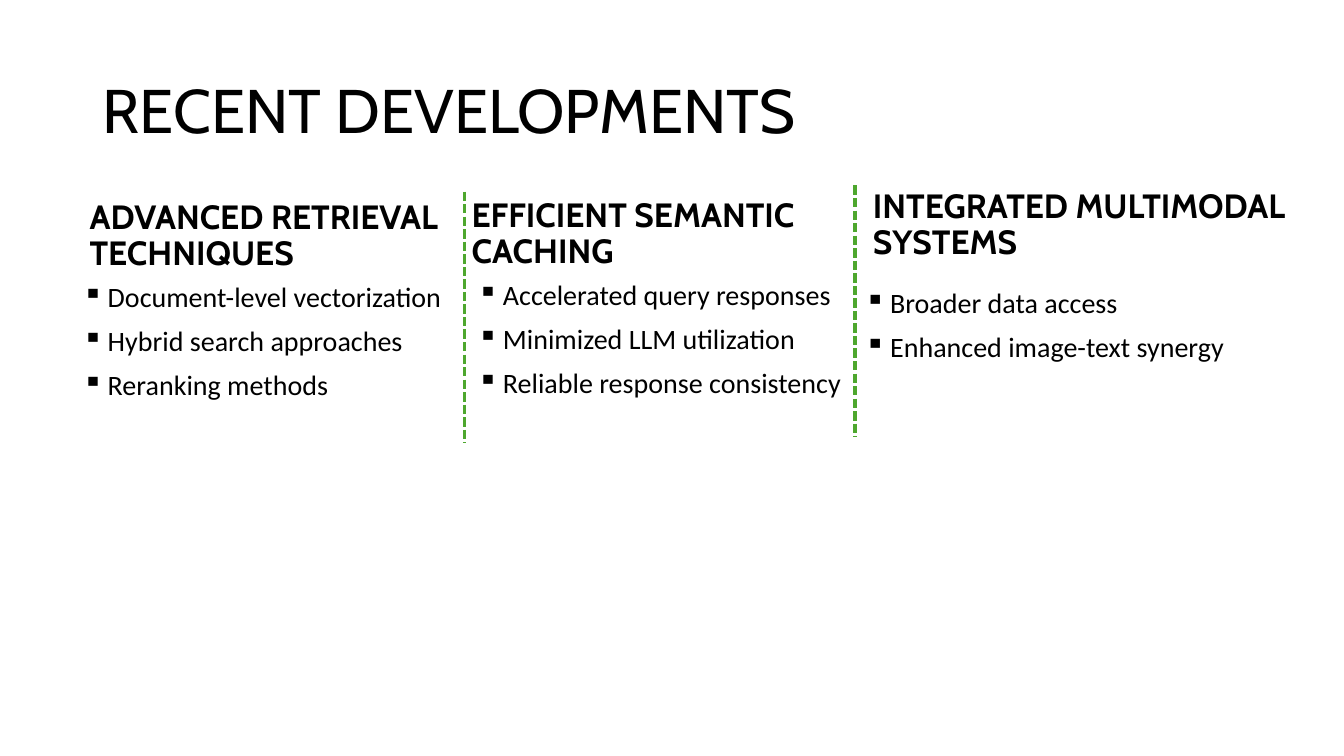
from lxml import etree
from pptx import Presentation
from pptx.dml.color import RGBColor
from pptx.enum.dml import MSO_LINE
from pptx.enum.shapes import MSO_CONNECTOR
from pptx.enum.text import MSO_ANCHOR
from pptx.oxml.ns import qn
from pptx.util import Inches, Pt

TOP, MIDDLE, BOTTOM = MSO_ANCHOR.TOP, MSO_ANCHOR.MIDDLE, MSO_ANCHOR.BOTTOM
STRAIGHT = MSO_CONNECTOR.STRAIGHT
SYSTEM_DASH = MSO_LINE.SQUARE_DOT

BLACK, GREEN = "000000", "4EA72E"
TITLE = {"name": "Cabin", "size": Pt(44)}
HEADING = {"name": "Cabin", "size": Pt(24), "bold": True}
BODY = {"name": "Calibri", "size": Pt(20)}
BULLET_INDENT = Inches(0.25)
DIVIDER_HEIGHT = 2.49

COLUMNS = [
    ("ADVANCED RETRIEVAL TECHNIQUES", (0.79, 1.86, 3.77, 0.9),
     ["Document-level vectorization", "Hybrid search approaches", "Reranking methods"],
     (0.72, 2.76, 3.88, 2.32)),
    ("EFFICIENT SEMANTIC CACHING", (4.58, 1.84, 4.24, 0.9),
     ["Accelerated query responses", "Minimized LLM utilization", "Reliable response consistency"],
     (4.64, 2.74, 3.97, 2.62)),
    ("INTEGRATED MULTIMODAL SYSTEMS", (8.56, 1.75, 5.19, 0.9),
     ["Broader data access", "Enhanced image-text synergy"],
     (8.48, 2.82, 3.82, 2.34)),
]
DIVIDERS = [(8.48, 1.84), (4.61, 1.9)]


def color(value):
    """Return the colour for a hex string."""
    return RGBColor.from_string(value)


def add_bullet(para):
    """Give a paragraph a square bullet with a hanging indent."""
    properties = para._p.get_or_add_pPr()
    properties.set("marL", str(BULLET_INDENT))
    properties.set("indent", str(-BULLET_INDENT))
    etree.SubElement(properties, qn("a:buChar")).set("char", "▪")


def add_text(page, lines, place, style, anchor, space_before=10, bulleted=False):
    """Add a wrapped text box with one paragraph per line."""
    box = page.shapes.add_textbox(*map(Inches, place))
    frame = box.text_frame
    frame.word_wrap = True
    frame.vertical_anchor = anchor
    for index, line in enumerate(lines):
        para = frame.add_paragraph() if index else frame.paragraphs[0]
        para.line_spacing = 0.9
        para.space_before = Pt(space_before)
        if bulleted:
            add_bullet(para)
        span = para.add_run()
        span.text = line
        span.font.color.rgb = color(BLACK)
        for name, value in style.items():
            setattr(span.font, name, value)


def add_divider(page, left, top):
    """Add a dashed vertical line between columns."""
    divider = page.shapes.add_connector(
        STRAIGHT, Inches(left), Inches(top), Inches(left), Inches(top + DIVIDER_HEIGHT))
    divider.line.color.rgb = color(GREEN)
    divider.line.width = Pt(2.25)
    divider.line.dash_style = SYSTEM_DASH
    etree.SubElement(divider._element.spPr, qn("a:effectLst"))


def main():
    """Build the slide and save the deck."""
    deck = Presentation()
    deck.slide_width, deck.slide_height = Inches(13.33), Inches(7.5)
    page = deck.slides.add_slide(deck.slide_layouts[6])
    add_text(page, ["RECENT DEVELOPMENTS"], (0.92, 0.4, 11.5, 1.45), TITLE, MIDDLE, space_before=0)
    for heading, heading_place, points, points_place in COLUMNS:
        add_text(page, [heading], heading_place, HEADING, BOTTOM)
        add_text(page, points, points_place, BODY, TOP, bulleted=True)
    for left, top in DIVIDERS:
        add_divider(page, left, top)
    deck.save("out.pptx")


if __name__ == "__main__":
    main()
